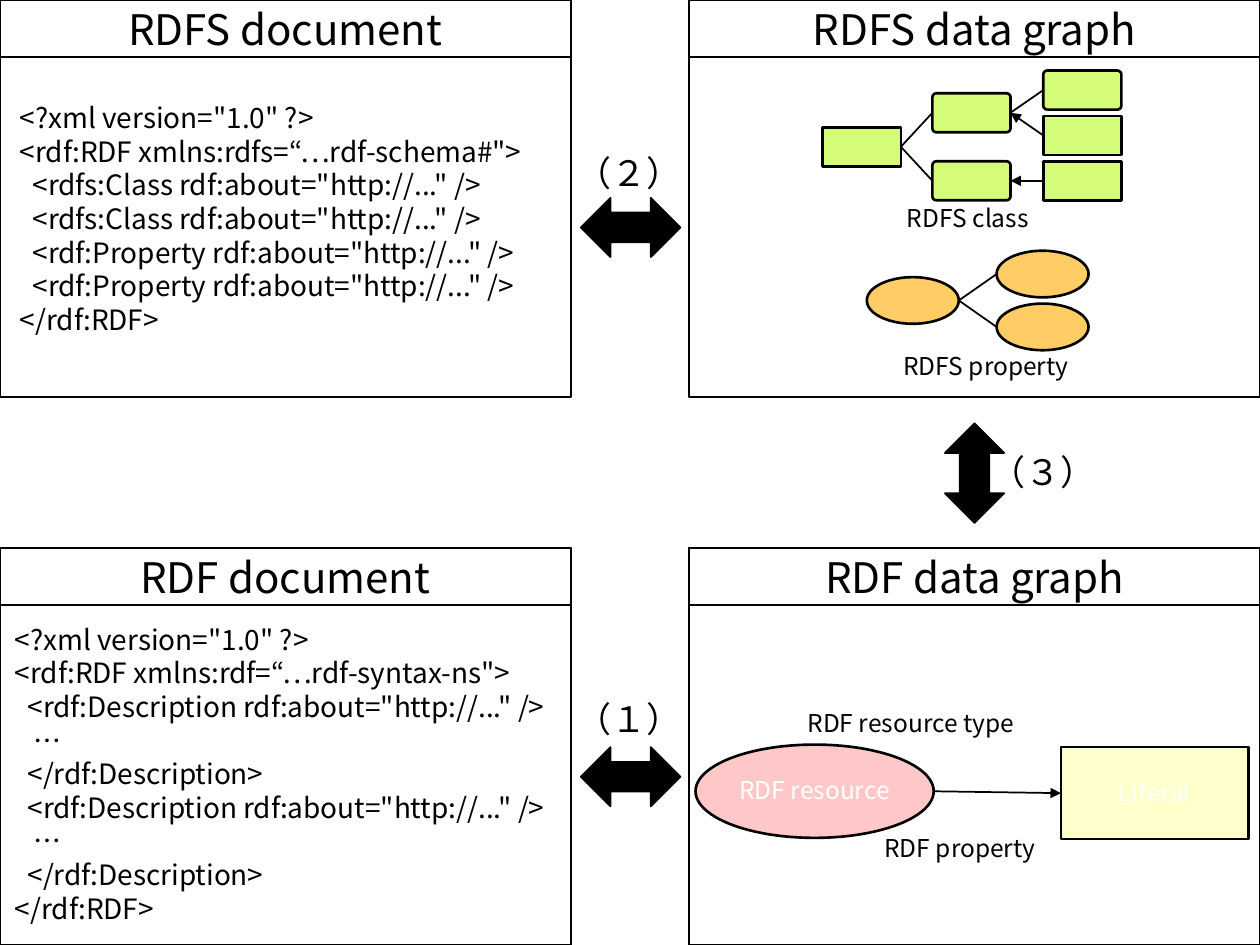
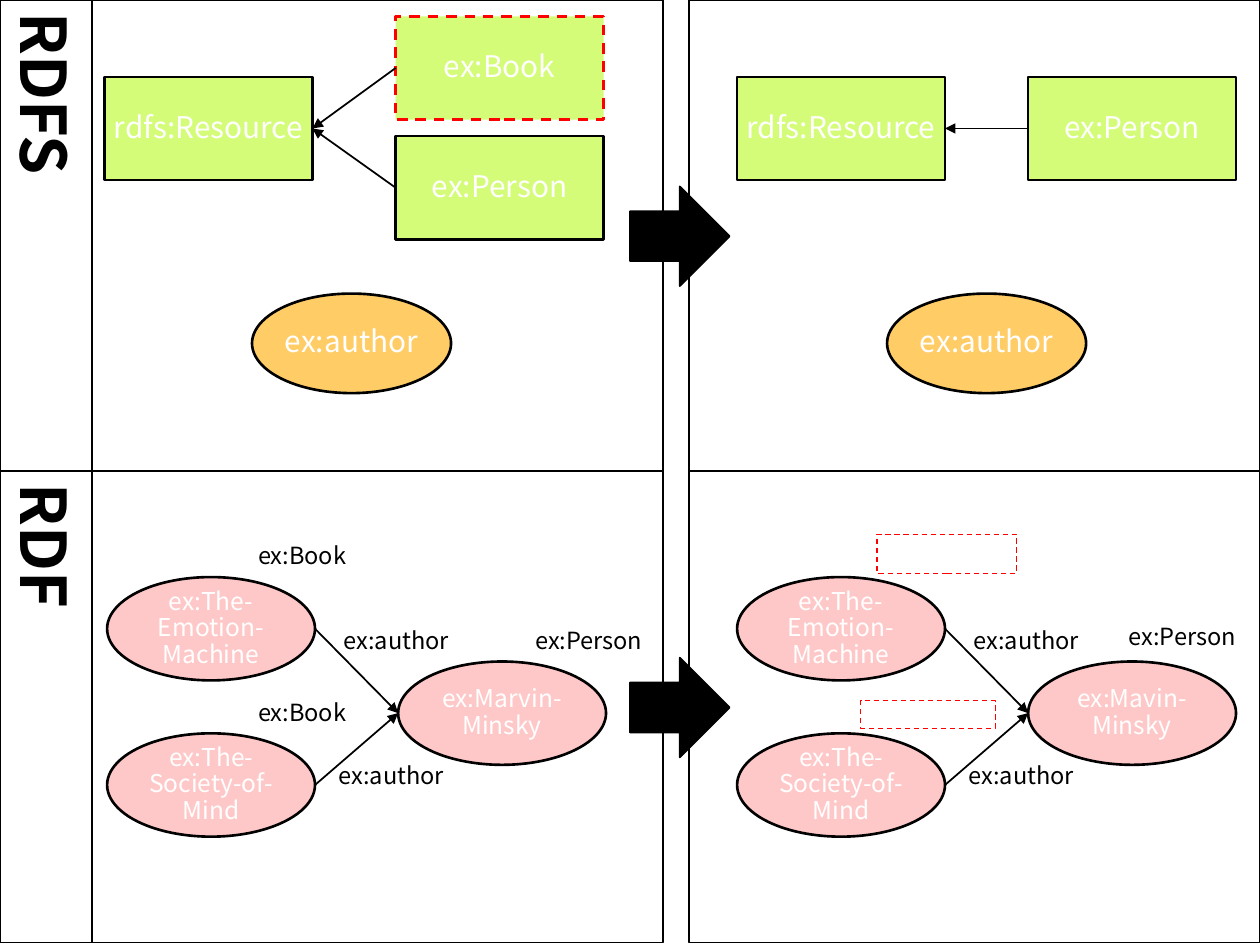
from dataclasses import dataclass

from lxml import etree
from pptx import Presentation
from pptx.dml.color import RGBColor
from pptx.enum.dml import MSO_LINE
from pptx.enum.shapes import MSO_CONNECTOR, MSO_SHAPE
from pptx.enum.text import MSO_ANCHOR, MSO_AUTO_SIZE, PP_ALIGN
from pptx.oxml.ns import qn
from pptx.util import Inches, Pt

RECT = MSO_SHAPE.RECTANGLE
ROUND = MSO_SHAPE.ROUNDED_RECTANGLE
ELLIPSE = MSO_SHAPE.OVAL
LEFT_RIGHT = MSO_SHAPE.LEFT_RIGHT_ARROW
UP_DOWN = MSO_SHAPE.UP_DOWN_ARROW
RIGHT = MSO_SHAPE.RIGHT_ARROW
STRAIGHT = MSO_CONNECTOR.STRAIGHT
DASH = MSO_LINE.DASH
MIDDLE = MSO_ANCHOR.MIDDLE
CENTER, LEFT = PP_ALIGN.CENTER, PP_ALIGN.LEFT
FIT_TEXT = MSO_AUTO_SIZE.SHAPE_TO_FIT_TEXT
BLANK = 6


@dataclass(frozen=True)
class Theme:
    font: str = "Noto Sans CJK JP"
    ink: str = "000000"
    paper: str = "FFFFFF"
    removed: str = "FF0000"
    rdfs_class: str = "D5FC79"
    rdfs_property: str = "FFCC66"
    resource: str = "FFC8C8"
    literal: str = "FFFFCC"
    row_size: float = 36
    heading_size: float = 24
    step_size: float = 20
    node_size: float = 17
    code_size: float = 16
    label_size: float = 14
    type_size: float = 13.5
    thin: float = 0.75
    frame: float = 1
    outline: float = 1.5


def assign(target, values):
    for name, value in values.items():
        setattr(target, name, value)


class Board:
    def __init__(self, deck, theme):
        self.deck = deck
        self.theme = theme
        self.slide = None

    def start(self):
        self.slide = self.deck.slides.add_slide(self.deck.slide_layouts[BLANK])

    def add_text(self, paragraph, text, size, color, bold=False):
        run = paragraph.add_run()
        run.text = text
        assign(run.font, {"size": Pt(size), "name": self.theme.font, "bold": bold})
        run.font.color.rgb = RGBColor.from_string(color)
        east = etree.SubElement(run._r.get_or_add_rPr(), qn("a:ea"))
        east.set("typeface", self.theme.font)

    def stroke(self, line, color, width, dash=None):
        line.color.rgb = RGBColor.from_string(color)
        line.width = Pt(width)
        if dash:
            line.dash_style = dash

    def shape(self, kind, box, fill=None, color=None, width=None, dash=None):
        shape = self.slide.shapes.add_shape(kind, *map(Inches, box))
        shape.shadow.inherit = False
        if fill:
            shape.fill.solid()
            shape.fill.fore_color.rgb = RGBColor.from_string(fill)
        else:
            shape.fill.background()
        self.stroke(shape.line, color or self.theme.ink, width or self.theme.frame, dash)
        return shape

    def panel(self, box):
        return self.shape(RECT, box, self.theme.paper)

    def block_arrow(self, kind, box):
        self.shape(kind, box, self.theme.ink)

    def heading(self, box, text):
        frame = self.panel(box).text_frame
        assign(frame, {"vertical_anchor": MIDDLE, "word_wrap": True})
        frame.paragraphs[0].alignment = CENTER
        self.add_text(frame.paragraphs[0], text, self.theme.heading_size, self.theme.ink)

    def row_heading(self, box, text):
        frame = self.panel(box).text_frame
        assign(frame, {"vertical_anchor": MIDDLE, "word_wrap": True})
        frame._txBody.bodyPr.set("vert", "eaVert")
        frame.paragraphs[0].alignment = LEFT
        self.add_text(frame.paragraphs[0], text, self.theme.row_size, self.theme.ink, True)

    def node(self, kind, box, fill, text="", size=None, removed=False):
        color, dash = (self.theme.removed, DASH) if removed else (self.theme.ink, None)
        node = self.shape(kind, box, fill, color, self.theme.outline, dash)
        if kind == ROUND:
            node.adjustments[0] = 0.1
        if text:
            frame = node.text_frame
            inset = Inches(0.01)
            assign(frame, {"vertical_anchor": MIDDLE, "word_wrap": True,
                           "margin_left": inset, "margin_right": inset,
                           "margin_top": inset, "margin_bottom": inset})
            assign(frame.paragraphs[0], {"alignment": CENTER, "line_spacing": 0.9})
            self.add_text(frame.paragraphs[0], text, size, self.theme.paper)
        return node

    def link(self, west, east, arrow=None):
        connector = self.slide.shapes.add_connector(
            STRAIGHT, west.left + west.width, west.top + west.height // 2,
            east.left, east.top + east.height // 2)
        self.stroke(connector.line, self.theme.ink, self.theme.frame)
        properties = connector._element.spPr
        if arrow:
            tag = {"west": "a:headEnd", "east": "a:tailEnd"}[arrow]
            etree.SubElement(properties.find(qn("a:ln")), qn(tag)).set("type", "triangle")
        etree.SubElement(properties, qn("a:effectLst"))

    def label(self, box, text, size):
        frame = self.slide.shapes.add_textbox(*map(Inches, box)).text_frame
        assign(frame, {"word_wrap": False, "auto_size": FIT_TEXT})
        self.add_text(frame.paragraphs[0], text, size, self.theme.ink)

    def code(self, box, lines):
        frame = self.slide.shapes.add_textbox(*map(Inches, box)).text_frame
        assign(frame, {"word_wrap": True, "auto_size": FIT_TEXT})
        for number, (indent, text) in enumerate(lines):
            paragraph = frame.add_paragraph() if number else frame.paragraphs[0]
            paragraph._p.get_or_add_pPr().set("marL", str(Inches(indent)))
            self.add_text(paragraph, text, self.theme.code_size, self.theme.ink)


def build_overview(board):
    theme = board.theme
    board.start()
    headings = [
        (0, 0, "RDFS document"), (0, 4.35, "RDF document"),
        (5.47, 0, "RDFS data graph"), (5.47, 4.35, "RDF data graph"),
    ]
    for left, top, text in headings:
        board.panel((left, top, 4.53, 3.15))
        board.heading((left, top, 4.53, 0.45), text)

    for top in (1.57, 5.93):
        board.block_arrow(LEFT_RIGHT, (4.61, top, 0.79, 0.47))
    board.block_arrow(UP_DOWN, (7.5, 3.36, 0.47, 0.79))
    for left, top, text in [(4.48, 5.49, "（１）"), (4.48, 1.15, "（２）"), (7.76, 3.53, "（３）")]:
        board.label((left, top, 1.04, 0.44), text, theme.step_size)

    literal = board.node(RECT, (8.42, 5.93, 1.49, 0.73), theme.literal,
                         "Literal", theme.label_size)
    resource = board.node(ELLIPSE, (5.52, 5.91, 1.89, 0.74), theme.resource,
                          "RDF resource", theme.label_size)
    board.link(resource, literal, "east")

    class_places = [
        (RECT, 6.53, 1.01), (ROUND, 7.4, 0.74), (ROUND, 7.4, 1.28),
        (ROUND, 8.28, 0.56), (RECT, 8.28, 0.92), (RECT, 8.28, 1.28),
    ]
    root, upper, lower, first, second, third = [
        board.node(kind, (left, top, 0.62, 0.31), theme.rdfs_class)
        for kind, left, top in class_places]
    for parent, child, arrow in [(root, upper, None), (root, lower, None), (upper, first, None),
                                 (upper, second, "west"), (lower, third, "west")]:
        board.link(parent, child, arrow)

    parent_property, *child_properties = [
        board.node(ELLIPSE, (left, top, 0.73, 0.37), theme.rdfs_property)
        for left, top in [(6.88, 2.2), (7.91, 1.99), (7.91, 2.41)]]
    for child in child_properties:
        board.link(parent_property, child)

    labels = [
        (6.92, 6.56, 1.49, "RDF property"), (7.1, 1.56, 1.26, "RDFS class"),
        (7.07, 2.74, 1.62, "RDFS property"), (6.31, 5.57, 1.99, "RDF resource type"),
    ]
    for left, top, width, text in labels:
        board.label((left, top, width, 0.34), text, theme.label_size)

    declaration = (0, '<?xml version="1.0" ?>')
    closing = (0, "</rdf:RDF>")
    rdfs_class = (0.1, '<rdfs:Class rdf:about="http://..." />')
    rdf_property = (0.1, '<rdf:Property rdf:about="http://..." />')
    description = [(0.1, '<rdf:Description rdf:about="http://..." />'),
                   (0.15, "…"), (0.1, "</rdf:Description>")]
    board.code((0.06, 0.75, 4.35, 1.99), [
        declaration, (0, '<rdf:RDF xmlns:rdfs=“…rdf-schema#">'),
        *[rdfs_class] * 2, *[rdf_property] * 2, closing])
    board.code((0.02, 4.89, 4.59, 2.52), [
        declaration, (0, '<rdf:RDF xmlns:rdf=“…rdf-syntax-ns">'),
        *description * 2, closing])


def build_class_graph(board, left, classes, author_left):
    theme = board.theme

    def class_node(x, y, text, removed=False):
        return board.node(RECT, (x, y, 1.65, 0.82), theme.rdfs_class,
                          text, theme.node_size, removed)

    root = class_node(left, 0.61, "rdfs:Resource")
    for top, text, removed in classes:
        board.link(root, class_node(left + 2.31, top, text, removed), "west")
    board.node(ELLIPSE, (author_left, 2.33, 1.58, 0.79), theme.rdfs_property,
               "ex:author", theme.node_size)


def build_resource_graph(board, shift, person):
    theme = board.theme

    def resource_node(x, y, text):
        return board.node(ELLIPSE, (x + shift, y, 1.65, 0.82), theme.resource,
                          text, theme.label_size)

    writer = resource_node(3.16, 5.25, person)
    for top, text in [(4.58, "ex:The-Emotion-Machine"), (5.82, "ex:The-Society-of-Mind")]:
        board.link(resource_node(0.85, top, text), writer, "east")
    for left, top in [(2.63, 4.92), (2.59, 5.99)]:
        board.label((left + shift, top, 1.05, 0.33), "ex:author", theme.type_size)


def build_class_removal(board):
    theme = board.theme
    board.start()
    for top, text in [(0, "RDFS"), (3.74, "RDF")]:
        for left in (0.73, 5.47):
            board.panel((left, top, 4.53, 3.74))
        board.row_heading((0, top, 0.73, 3.74), text)
        board.block_arrow(RIGHT, (5, top + 1.48, 0.79, 0.79))

    build_class_graph(board, 0.83, [(0.13, "ex:Book", True), (1.08, "ex:Person", False)], 2)
    build_class_graph(board, 5.85, [(0.61, "ex:Person", False)], 7.04)
    build_resource_graph(board, 0, "ex:Marvin-Minsky")
    build_resource_graph(board, 5, "ex:Mavin-Minsky")

    for top in (4.24, 5.49):
        board.label((1.95, top, 0.92, 0.33), "ex:Book", theme.type_size)
    for left, top in [(4.15, 4.92), (8.86, 4.89)]:
        board.label((left, top, 1.09, 0.33), "ex:Person", theme.type_size)
    for removed_type in [(6.96, 4.24, 1.11, 0.31), (6.83, 5.56, 1.07, 0.22)]:
        board.shape(RECT, removed_type, None, theme.removed, theme.thin, DASH)


def main():
    deck = Presentation()
    assign(deck, {"slide_width": Inches(10), "slide_height": Inches(7.5)})
    board = Board(deck, Theme())
    build_overview(board)
    build_class_removal(board)
    deck.save("out.pptx")


if __name__ == "__main__":
    main()
